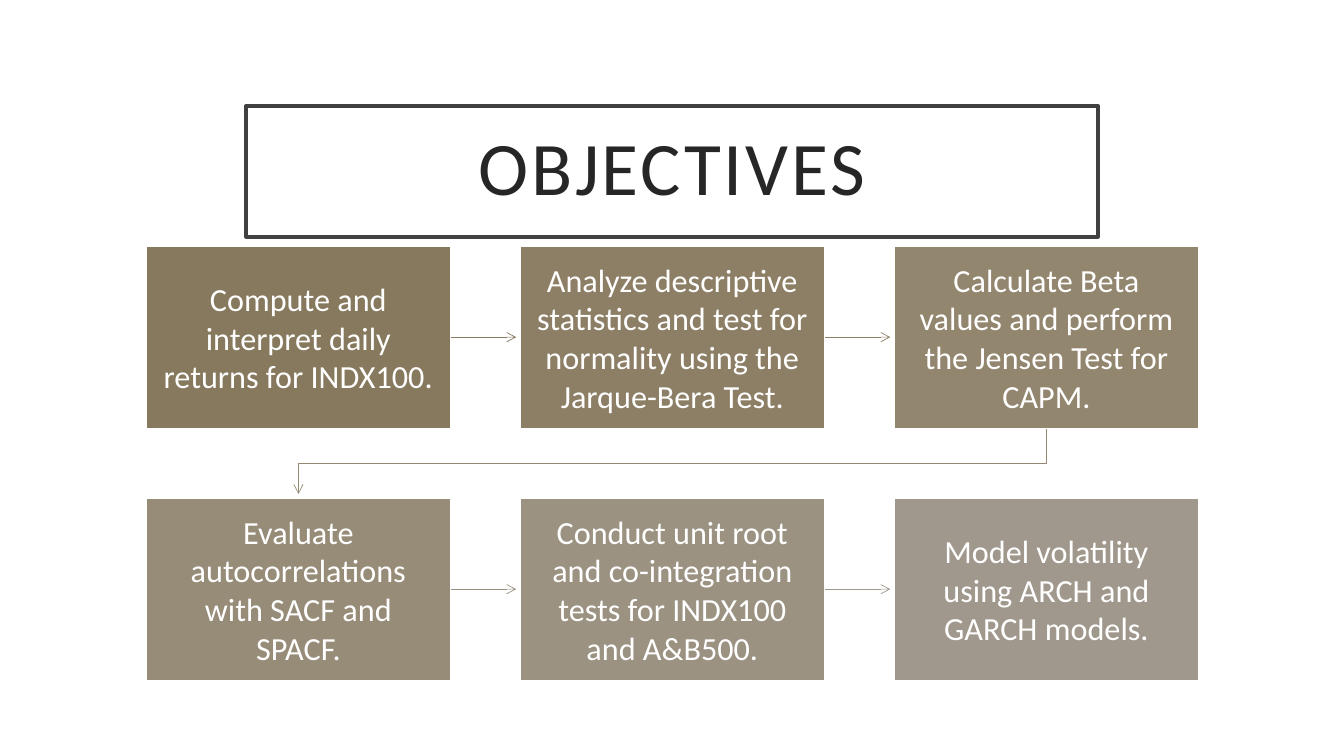
from collections import namedtuple
from dataclasses import dataclass

from lxml.etree import SubElement
from pptx import Presentation
from pptx.dml.color import RGBColor as RGB
from pptx.enum.shapes import MSO_CONNECTOR as CONN, MSO_SHAPE as SHAPE
from pptx.enum.text import MSO_ANCHOR as ANCHOR, MSO_AUTO_SIZE as AUTO, PP_ALIGN as ALIGN
from pptx.oxml.ns import qn
from pptx.util import Inches as In, Pt

Box = namedtuple("Box", "x y w h")


@dataclass(frozen=True)
class Theme:
    font: str = "Calibri"
    title_size: int = 54
    step_size: int = 23
    title_text: str = "262626"
    title_line: str = "404040"
    white: str = "FFFFFF"
    step_fills: tuple = ("87795D", "8D7F65", "93866E", "978C78", "9B9282", "A0988C")
    arrow_lines: tuple = ("87795D", "8F8167", "958973", "9A9080", "A0988C")


THEME = Theme()
COLUMNS, ROWS = 3, 2
GAP = 0.69
ARROW_CLEARANCE = 0.04
STEPS = (
    "Compute and interpret daily returns for INDX100.",
    "Analyze descriptive statistics and test for normality using the Jarque-Bera Test.",
    "Calculate Beta values and perform the Jensen Test for CAPM.",
    "Evaluate autocorrelations with SACF and SPACF.",
    "Conduct unit root and co-integration tests for INDX100 and A&B500.",
    "Model volatility using ARCH and GARCH models.",
)


def style_box(sp, fill, line, width):
    sp.fill.solid()
    sp.fill.fore_color.rgb = RGB.from_string(fill)
    sp.line.color.rgb = RGB.from_string(line)
    sp.line.width = Pt(width)


def write(sp, text, size, color, inset_x, inset_y):
    """Put one centred run in the shape and return its paragraph and run."""
    tf = sp.text_frame
    tf.word_wrap = True
    tf.auto_size = AUTO.NONE
    tf.vertical_anchor = ANCHOR.MIDDLE
    tf.margin_left = tf.margin_right = In(inset_x)
    tf.margin_top = tf.margin_bottom = In(inset_y)
    p = tf.paragraphs[0]
    p.alignment = ALIGN.CENTER
    r = p.add_run()
    r.text = text
    r.font.name = THEME.font
    r.font.size = Pt(size)
    r.font.color.rgb = RGB.from_string(color)
    return p, r


def add_title(slide, box, text):
    sp = slide.shapes.title
    sp.left, sp.top, sp.width, sp.height = map(In, box)
    style_box(sp, THEME.white, THEME.title_line, 2.5)
    p, r = write(sp, text, THEME.title_size, THEME.title_text, 0.2, 0.2)
    p.line_spacing = 0.9
    r._r.get_or_add_rPr().set("spc", "200")


def add_step(slide, box, text, fill):
    sp = slide.shapes.add_shape(SHAPE.RECTANGLE, *map(In, box))
    sp.shadow.inherit = False
    style_box(sp, fill, THEME.white, 1)
    write(sp, text, THEME.step_size, THEME.white, 0.15, 0.16)


def style_arrow(sp, color):
    sp.line.color.rgb = RGB.from_string(color)
    sp.line.width = Pt(0.5)
    SubElement(sp._element.spPr.get_or_add_ln(), qn("a:tailEnd"), type="arrow")


def add_arrow(slide, start, end, color):
    """Join two steps: straight in a row, folded through the gap between rows."""
    if start.y == end.y:
        y = In(start.y + start.h / 2)
        sp = slide.shapes.add_connector(
            CONN.STRAIGHT, In(start.x + start.w), y, In(end.x - ARROW_CLEARANCE), y)
        style_arrow(sp, color)
        SubElement(sp._element.spPr, qn("a:effectLst"))
        return
    x1, x2 = start.x + start.w / 2, end.x + end.w / 2
    bottom = start.y + start.h
    middle = (bottom + end.y) / 2
    turns = ((x1, middle), (x2, middle), (x2, end.y - ARROW_CLEARANCE))
    builder = slide.shapes.build_freeform(In(x1), In(bottom))
    builder.add_line_segments([(In(x), In(y)) for x, y in turns], close=False)
    sp = builder.convert_to_shape()
    sp.shadow.inherit = False
    sp.fill.background()
    style_arrow(sp, color)


def add_process(slide, area, steps):
    w = (area.w - (COLUMNS - 1) * GAP) / COLUMNS
    h = (area.h - (ROWS - 1) * GAP) / ROWS
    boxes = [Box(area.x + col * (w + GAP), area.y + row * (h + GAP), w, h)
             for row in range(ROWS) for col in range(COLUMNS)]
    for start, end, color in zip(boxes, boxes[1:], THEME.arrow_lines):
        add_arrow(slide, start, end, color)
    for box, text, fill in zip(boxes, steps, THEME.step_fills):
        add_step(slide, box, text, fill)


def main():
    prs = Presentation()
    prs.slide_width, prs.slide_height = In(13.33), In(7.5)
    slide = prs.slides.add_slide(prs.slide_layouts.get_by_name("Title Only"))
    add_title(slide, Box(2.44, 1.05, 8.45, 1.3), "OBJECTIVES")
    add_process(slide, Box(1.45, 2.44, 10.44, 4.31), STEPS)
    prs.save("out.pptx")


if __name__ == "__main__":
    main()
